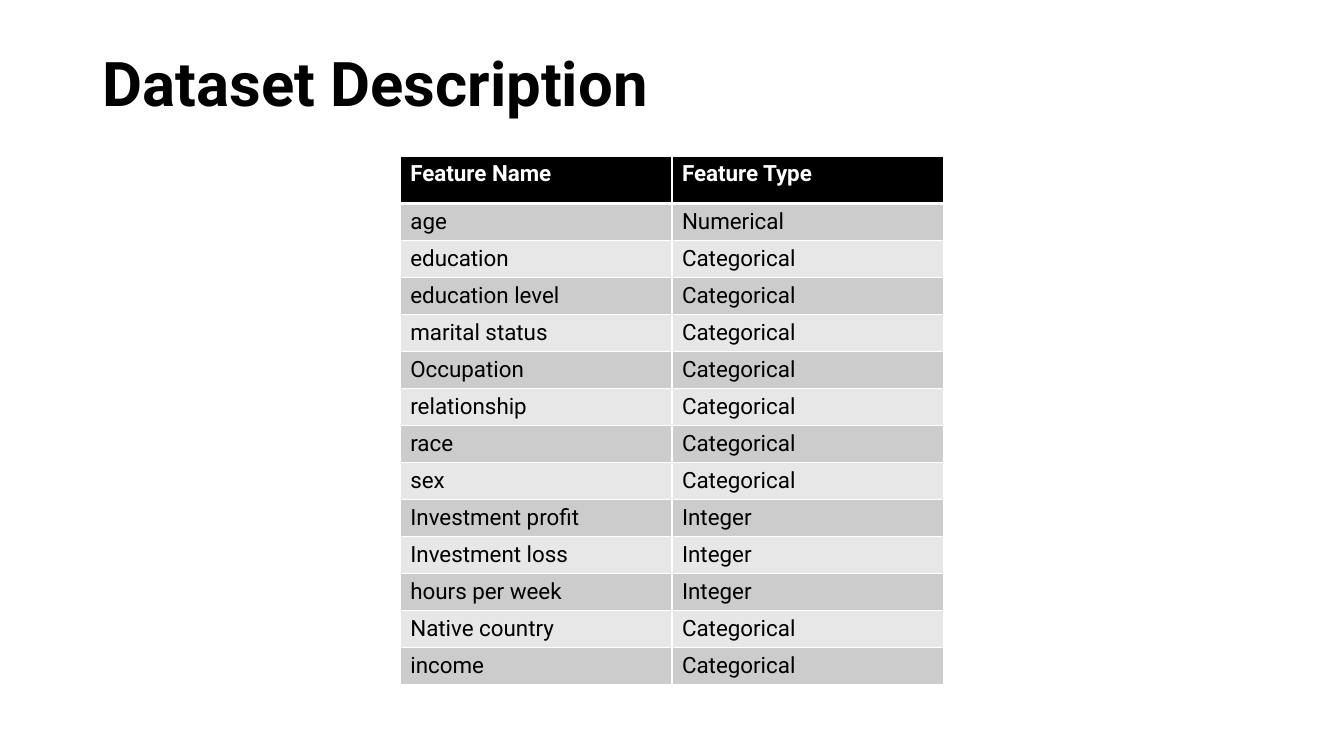
from typing import NamedTuple

from lxml.etree import SubElement
from pptx import Presentation
from pptx.dml.color import RGBColor
from pptx.enum.text import MSO_ANCHOR
from pptx.oxml.ns import qn
from pptx.slide import Slide
from pptx.table import _Cell
from pptx.text.text import _Paragraph
from pptx.util import Inches, Pt

BLACK = RGBColor(0x00, 0x00, 0x00)
WHITE = RGBColor(0xFF, 0xFF, 0xFF)
DARK_BAND = RGBColor(0xCC, 0xCC, 0xCC)
LIGHT_BAND = RGBColor(0xE7, 0xE7, 0xE7)

FONT = "Roboto"
HEADER_HEIGHT = Inches(0.47)
ROW_HEIGHT = Inches(0.33)
THIN, THICK = Pt(1), Pt(3)


class Feature(NamedTuple):
    name: str
    type: str


class RowStyle(NamedTuple):
    fill: RGBColor
    color: RGBColor
    bold: bool
    top: Pt
    bottom: Pt


HEADER = Feature("Feature Name", "Feature Type")
FEATURES = [
    Feature("age", "Numerical"),
    Feature("education", "Categorical"),
    Feature("education level", "Categorical"),
    Feature("marital status", "Categorical"),
    Feature("Occupation", "Categorical"),
    Feature("relationship", "Categorical"),
    Feature("race", "Categorical"),
    Feature("sex", "Categorical"),
    Feature("Investment profit", "Integer"),
    Feature("Investment loss", "Integer"),
    Feature("hours per week", "Integer"),
    Feature("Native country", "Categorical"),
    Feature("income", "Categorical"),
]


def add_run(paragraph: _Paragraph, text: str, size: int, color: RGBColor, bold: bool) -> None:
    run = paragraph.add_run()
    run.text = text
    run.font.name = FONT
    run.font.size = Pt(size)
    run.font.bold = bold
    run.font.color.rgb = color


def add_borders(cell: _Cell, top: Pt, bottom: Pt) -> None:
    """Draw white cell borders; call before the fill, which must follow them in the XML."""
    properties = cell._tc.get_or_add_tcPr()
    for side, width in (("L", THIN), ("R", THIN), ("T", top), ("B", bottom)):
        line = SubElement(properties, qn(f"a:ln{side}"), w=str(int(width)))
        SubElement(SubElement(line, qn("a:solidFill")), qn("a:srgbClr"), val=str(WHITE))


def row_style(index: int) -> RowStyle:
    if index == 0:
        return RowStyle(BLACK, WHITE, True, THIN, THICK)
    band = DARK_BAND if index % 2 else LIGHT_BAND
    return RowStyle(band, BLACK, False, THICK if index == 1 else THIN, THIN)


def add_title(slide: Slide, text: str) -> None:
    title = slide.shapes.add_textbox(Inches(0.92), Inches(0.4), Inches(11.5), Inches(0.92))
    title.text_frame.word_wrap = True
    title.text_frame.vertical_anchor = MSO_ANCHOR.MIDDLE
    paragraph = title.text_frame.paragraphs[0]
    paragraph.line_spacing = 0.9
    add_run(paragraph, text, 44, BLACK, True)


def add_feature_table(slide: Slide, rows: list[Feature]) -> None:
    height = HEADER_HEIGHT + ROW_HEIGHT * (len(rows) - 1)
    table = slide.shapes.add_table(
        len(rows), len(HEADER), Inches(3.97), Inches(1.55), Inches(5.39), height
    ).table
    for index, feature in enumerate(rows):
        style = row_style(index)
        table.rows[index].height = ROW_HEIGHT if index else HEADER_HEIGHT
        for cell, text in zip(table.rows[index].cells, feature):
            add_borders(cell, style.top, style.bottom)
            cell.fill.solid()
            cell.fill.fore_color.rgb = style.fill
            add_run(cell.text_frame.paragraphs[0], text, 16, style.color, style.bold)


def main() -> None:
    presentation = Presentation()
    presentation.slide_width = Inches(13.33)
    presentation.slide_height = Inches(7.5)
    slide = presentation.slides.add_slide(presentation.slide_layouts[6])

    # Heading
    add_title(slide, "Dataset Description")

    # Features and their types
    add_feature_table(slide, [HEADER, *FEATURES])

    presentation.save("out.pptx")


if __name__ == "__main__":
    main()
